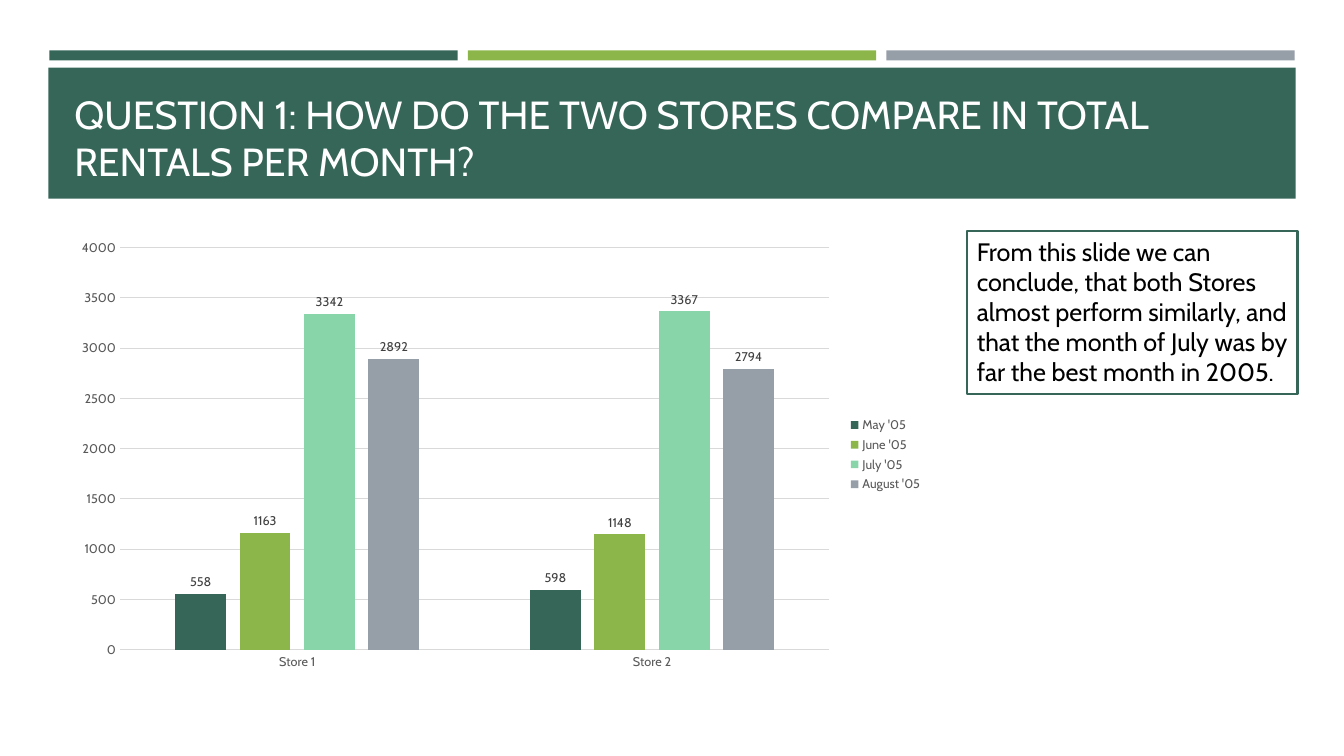
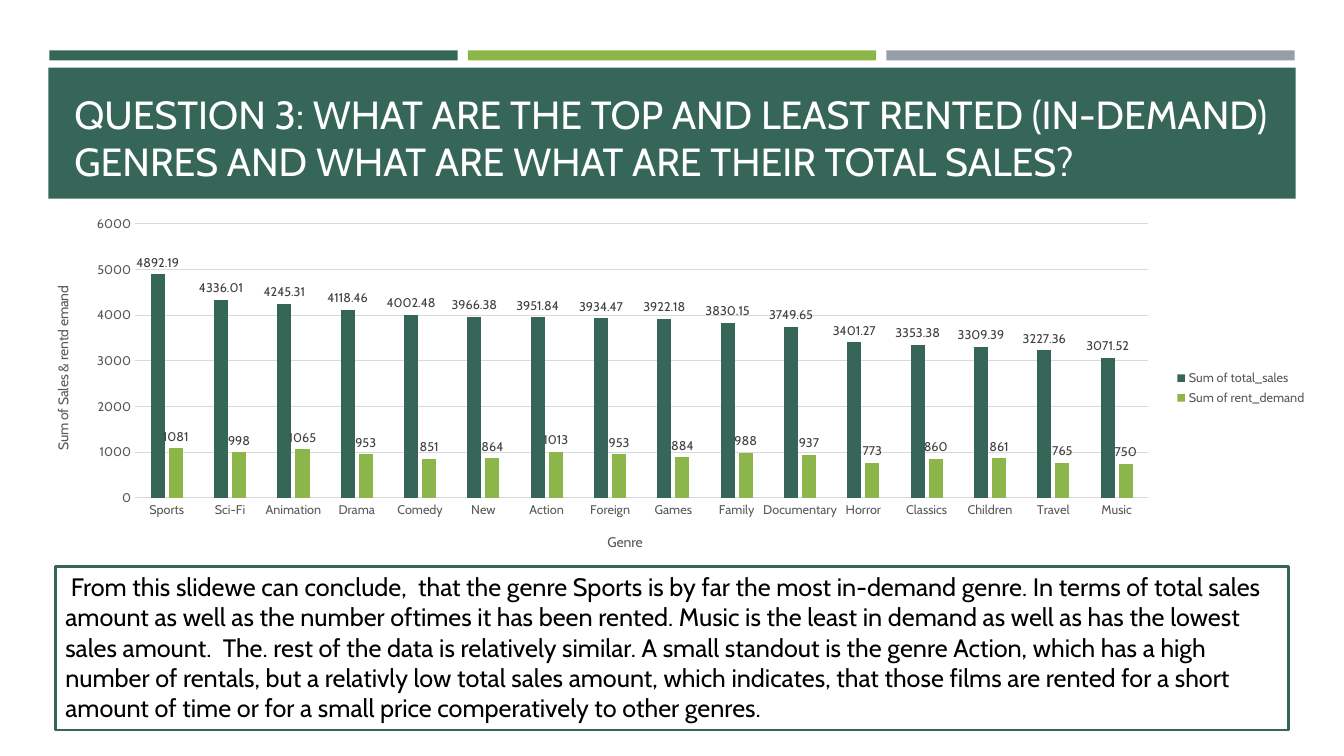
"""Build two rental report slides, each with a column chart and a conclusion."""
from lxml import etree
from pptx import Presentation
from pptx.chart.data import CategoryChartData
from pptx.dml.color import RGBColor
from pptx.enum.chart import (XL_CHART_TYPE, XL_LABEL_POSITION,
                             XL_LEGEND_POSITION, XL_TICK_MARK)
from pptx.enum.shapes import MSO_SHAPE
from pptx.enum.text import MSO_ANCHOR, PP_ALIGN
from pptx.oxml.ns import qn
from pptx.util import Inches, Pt

COLUMNS = XL_CHART_TYPE.COLUMN_CLUSTERED
OUTSIDE_END = XL_LABEL_POSITION.OUTSIDE_END
LEGEND_RIGHT = XL_LEGEND_POSITION.RIGHT
NO_TICK = XL_TICK_MARK.NONE
RECT = MSO_SHAPE.RECTANGLE
TOP, BOTTOM = MSO_ANCHOR.TOP, MSO_ANCHOR.BOTTOM
LEFT = PP_ALIGN.LEFT

FONT = "Cabin"
GREEN = RGBColor(0x36, 0x66, 0x58)
LIME = RGBColor(0x8C, 0xB6, 0x4A)
MINT = RGBColor(0x88, 0xD5, 0xA9)
GREY = RGBColor(0x96, 0x9F, 0xA7)
WHITE = RGBColor(0xFF, 0xFF, 0xFF)
BLACK = RGBColor(0, 0, 0)
AXIS_TEXT = RGBColor(0x59, 0x59, 0x59)
LABEL_TEXT = RGBColor(0x40, 0x40, 0x40)
GRID = RGBColor(0xD9, 0xD9, 0xD9)

STRIPES = (GREEN, LIME, GREY)
STRIPE_LEFT, STRIPE_TOP, STRIPE_W, STRIPE_H, STRIPE_STEP = 0.49, 0.5, 4.05, 0.1, 4.15
BAND = (0.48, 0.67, 12.37, 1.3)
TITLE = (0.64, 0.77, 12.06, 1.11)

SLIDES = [
    {
        "title": "QUESTION 1: HOW DO THE TWO STORES COMPARE IN TOTAL RENTALS PER MONTH?",
        "chart_at": (0.64, 2.29, 8.61, 4.44),
        "scale": (4000, 500),
        "categories": ["Store 1", "Store 2"],
        "series": [
            ("May '05", GREEN, [558, 598]),
            ("June '05", LIME, [1163, 1148]),
            ("July '05", MINT, [3342, 3367]),
            ("August '05", GREY, [2892, 2794]),
        ],
        "note_at": (9.59, 2.29, 3.28, 1.62),
        "note": "From this slide we can conclude, that both Stores almost perform "
                "similarly, and that the month of July was by far the best month in 2005.",
    },
    {
        "title": "QUESTION 3: WHAT ARE THE TOP AND LEAST RENTED (IN-DEMAND) GENRES "
                 "AND WHAT ARE WHAT ARE THEIR TOTAL SALES?",
        "chart_at": (0.26, 2.07, 12.8, 3.56),
        "plot_at": (1.08, 0.15, 10.05, 2.72),
        "axis_titles": {
            "category": ("Genre", 0, (5.74, 3.18)),
            "value": ("Sum of Sales & rentd emand", -90, (0.24, 0.74)),
        },
        "scale": (6000, 1000),
        "categories": ["Sports", "Sci-Fi", "Animation", "Drama", "Comedy", "New",
                       "Action", "Foreign", "Games", "Family", "Documentary",
                       "Horror", "Classics", "Children", "Travel", "Music"],
        "series": [
            ("Sum of total_sales", GREEN,
             [4892.19, 4336.01, 4245.31, 4118.46, 4002.48, 3966.38, 3951.84, 3934.47,
              3922.18, 3830.15, 3749.65, 3401.27, 3353.38, 3309.39, 3227.36, 3071.52]),
            ("Sum of rent_demand", LIME,
             [1081, 998, 1065, 953, 851, 864, 1013, 953,
              884, 988, 937, 773, 860, 861, 765, 750]),
        ],
        "note_at": (0.55, 5.62, 12.23, 1.62),
        "note": " From this slidewe can conclude,  that the genre Sports is by far the "
                "most in-demand genre. In terms of total sales amount as well as the "
                "number oftimes it has been rented. Music is the least in demand as well "
                "as has the lowest sales amount.  The. rest of the data is relatively "
                "similar. A small standout is the genre Action, which has a high number "
                "of rentals, but a relativly low total sales amount, which indicates, "
                "that those films are rented for a short amount of time or for a small "
                "price comperatively to other genres.",
    },
]


def inches(box):
    return [Inches(v) for v in box]


def set_font(font, size, color):
    font.name, font.size, font.bold = FONT, Pt(size), False
    font.color.rgb = color


def add_rect(s, box, fill, line=None):
    sp = s.shapes.add_shape(RECT, *inches(box))
    sp.shadow.inherit = False
    sp.fill.solid()
    sp.fill.fore_color.rgb = fill
    if line is None:
        sp.line.fill.background()
    else:
        sp.line.color.rgb = line
        sp.line.width = Pt(1.75)
    return sp


def write(sp, text, size, color, anchor):
    tf = sp.text_frame
    tf.word_wrap = True
    tf.vertical_anchor = anchor
    p = tf.paragraphs[0]
    p.text = text
    p.alignment = LEFT
    set_font(p.font, size, color)


def add_frame(s, title):
    for i, color in enumerate(STRIPES):
        left = STRIPE_LEFT + i * STRIPE_STEP
        add_rect(s, (left, STRIPE_TOP, STRIPE_W, STRIPE_H), color)
    add_rect(s, BAND, GREEN)
    write(s.shapes.add_textbox(*inches(TITLE)), title, 28, WHITE, BOTTOM)


def place(parent, index, box, size, inner=False):
    """Fix a chart part at a box in inches within a chart of the given size."""
    old = parent.find(qn("c:layout"))
    if old is not None:
        parent.remove(old)
    layout = etree.Element(qn("c:layout"))
    manual = etree.SubElement(layout, qn("c:manualLayout"))
    settings = [("layoutTarget", "inner")] if inner else []
    settings += [("xMode", "edge"), ("yMode", "edge")]
    settings += [(key, str(v / full)) for key, v, full in zip("xywh", box, size * 2)]
    for key, value in settings:
        etree.SubElement(manual, qn("c:" + key)).set("val", value)
    parent.insert(index, layout)


def add_axis_title(axis, text, angle, at, size):
    title = axis.axis_title
    tf = title.text_frame
    tf.text = text
    set_font(tf.paragraphs[0].font, 10, AXIS_TEXT)
    body = tf._txBody.bodyPr
    body.set("rot", str(angle * 60000))
    body.set("vert", "horz")
    place(title._element, 1, at, size)


def add_columns(s, content):
    data = CategoryChartData()
    data.categories = content["categories"]
    for name, _, values in content["series"]:
        data.add_series(name, values)
    box = content["chart_at"]
    chart = s.shapes.add_chart(COLUMNS, *inches(box), data).chart
    set_font(chart.font, 10, BLACK)
    chart.has_title = False
    chart.has_legend = True
    chart.legend.position = LEGEND_RIGHT
    chart.legend.include_in_layout = False
    set_font(chart.legend.font, 9, AXIS_TEXT)

    plot = chart.plots[0]
    plot.gap_width, plot.overlap = 219, -27
    plot.vary_by_categories = False
    for series, (_, color, _) in zip(plot.series, content["series"]):
        series.format.fill.solid()
        series.format.fill.fore_color.rgb = color
        labels = series.data_labels
        labels.show_value = True
        labels.position = OUTSIDE_END
        set_font(labels.font, 9, LABEL_TEXT)

    axes = {"category": chart.category_axis, "value": chart.value_axis}
    for axis in axes.values():
        axis.major_tick_mark = axis.minor_tick_mark = NO_TICK
        set_font(axis.tick_labels.font, 9, AXIS_TEXT)
    value = axes["value"]
    value.minimum_scale = 0
    value.maximum_scale, value.major_unit = content["scale"]
    value.format.line.fill.background()
    for line in (axes["category"].format.line, value.major_gridlines.format.line):
        line.color.rgb = GRID
        line.width = Pt(0.75)

    for key, (text, angle, at) in content.get("axis_titles", {}).items():
        add_axis_title(axes[key], text, angle, at, box[2:])
    if "plot_at" in content:
        place(chart._chartSpace.chart.plotArea, 0, content["plot_at"], box[2:], True)


prs = Presentation()
prs.slide_width, prs.slide_height = Inches(13.33), Inches(7.5)
for content in SLIDES:
    s = prs.slides.add_slide(prs.slide_layouts[6])
    add_frame(s, content["title"])
    add_columns(s, content)
    note = add_rect(s, content["note_at"], WHITE, GREEN)
    write(note, content["note"], 18, BLACK, TOP)
prs.save("out.pptx")
